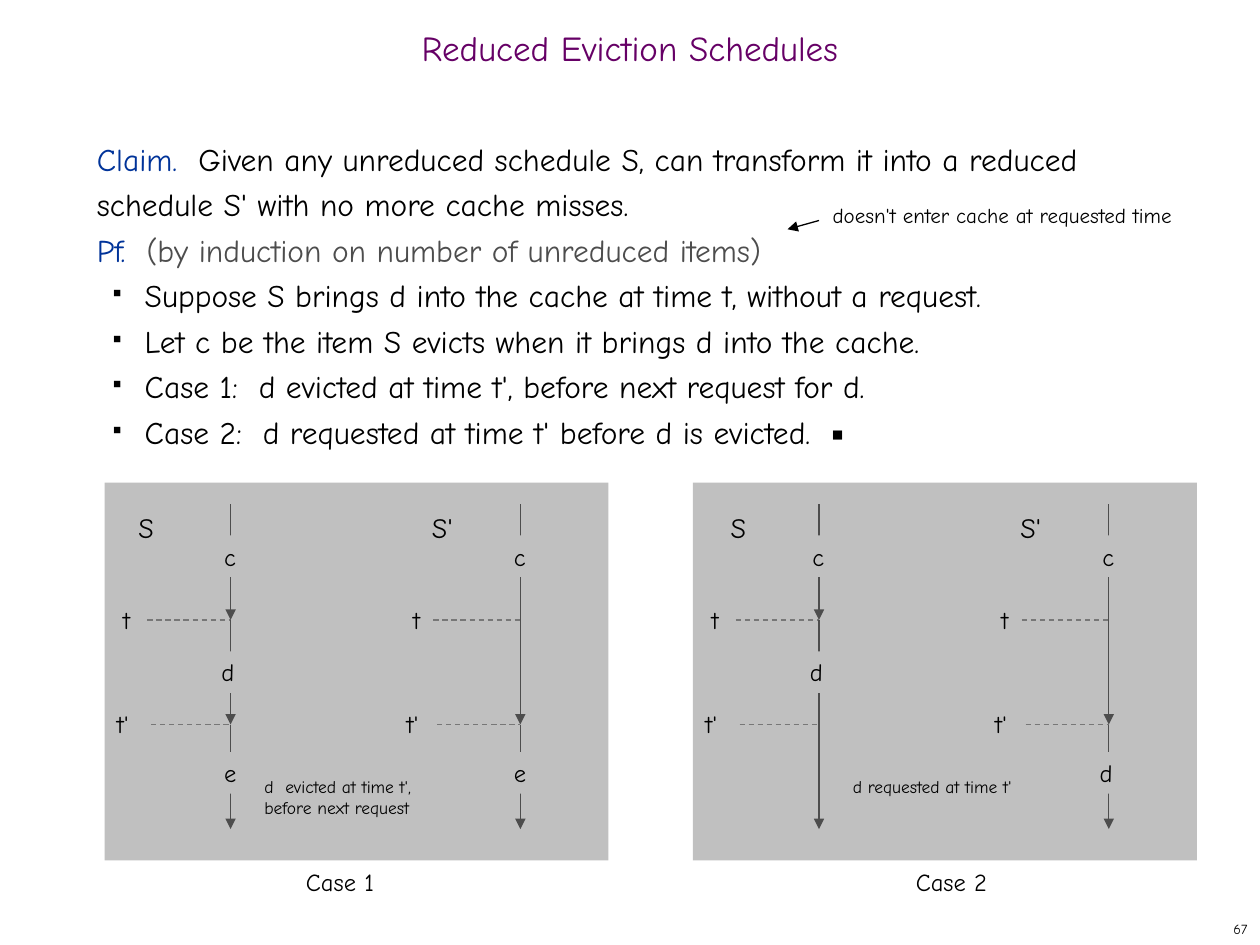
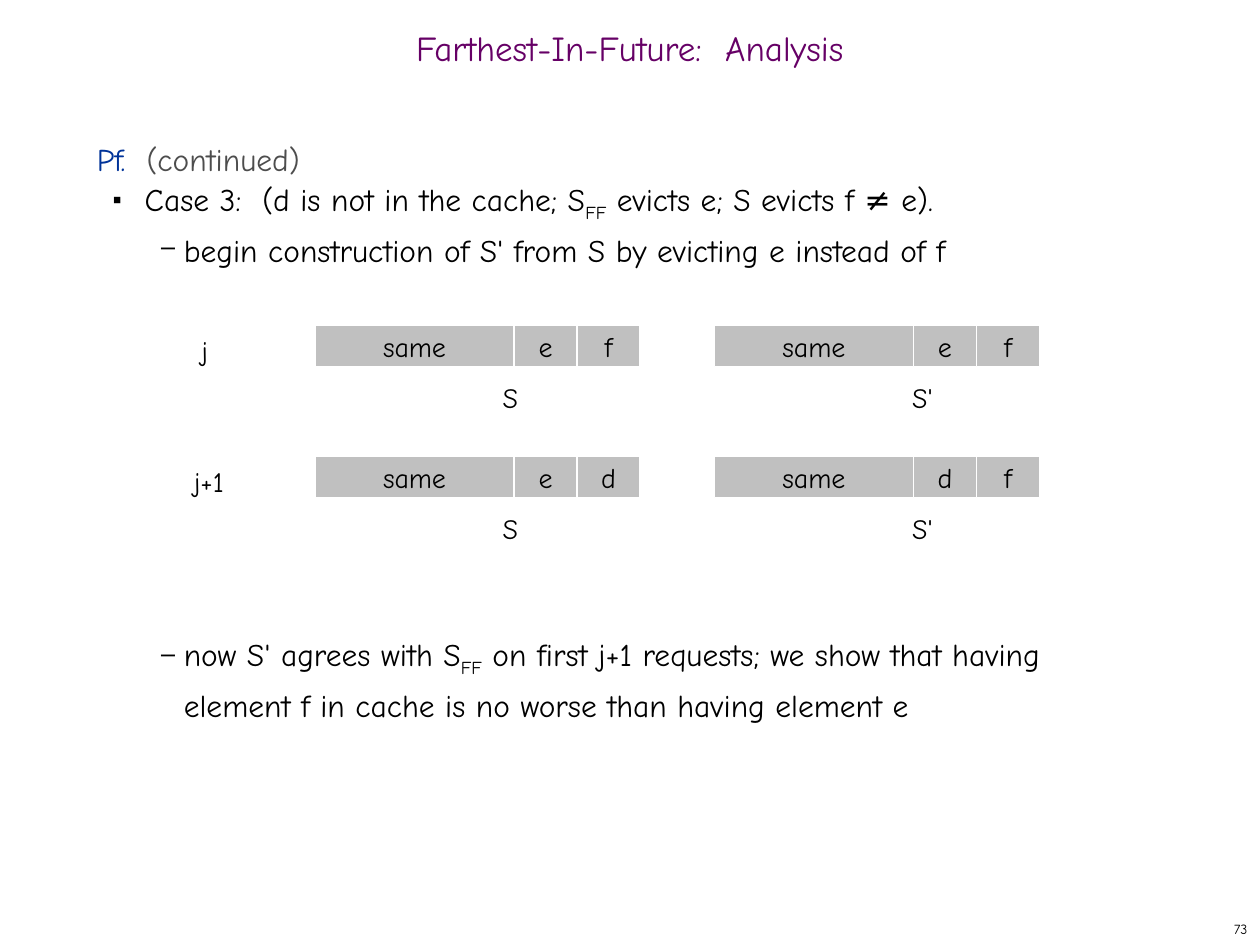
import pptx
import pptx.util
import pptx.dml.color
import pptx.enum.dml
import pptx.enum.shapes
import pptx.enum.text
import pptx.oxml
import pptx.oxml.ns

Inches = pptx.util.Inches
Pt = pptx.util.Pt
RGBColor = pptx.dml.color.RGBColor
ALIGN = pptx.enum.text.PP_ALIGN
ANCHOR = pptx.enum.text.MSO_ANCHOR
DASH = pptx.enum.dml.MSO_LINE.DASH
qn = pptx.oxml.ns.qn

BLACK = RGBColor(0x00, 0x00, 0x00)
WHITE = RGBColor(0xFF, 0xFF, 0xFF)
PLUM = RGBColor(0x66, 0x00, 0x66)
BLUE = RGBColor(0x00, 0x33, 0x99)
DARK = RGBColor(0x4D, 0x4D, 0x4D)
GREY = RGBColor(0x77, 0x77, 0x77)
PANEL = RGBColor(0xC0, 0xC0, 0xC0)
FONT = "Comic Neue"

BULLETS = {1: ("■", 35, 0.38, -0.25), 2: ("–", 80, 0.69, -0.18)}


def box(slide, at, paras, size=14, ink=BLACK, fill=None, edge=None, align=ALIGN.LEFT,
        anchor=ANCHOR.TOP, pad=0.05, wrap=False, space=None):
    spot = [Inches(v) for v in at]
    if fill is None:
        shape = slide.shapes.add_textbox(*spot)
    else:
        shape = slide.shapes.add_shape(pptx.enum.shapes.MSO_SHAPE.RECTANGLE, *spot)
        shape.shadow.inherit = False
        shape.fill.solid()
        shape.fill.fore_color.rgb = fill
        if edge is None:
            shape.line.fill.background()
        else:
            shape.line.color.rgb = edge
            shape.line.width = Pt(0.75)
    frame = shape.text_frame
    look = {"word_wrap": wrap, "vertical_anchor": anchor,
            "margin_left": Inches(0.1), "margin_right": Inches(0.1),
            "margin_top": Inches(pad), "margin_bottom": Inches(pad)}
    for key, val in look.items():
        setattr(frame, key, val)
    if isinstance(paras, str):
        paras = [(0, [(text, ink)]) for text in paras.split("\n")]
    for num, (level, runs) in enumerate(paras):
        para = frame.add_paragraph() if num else frame.paragraphs[0]
        para.alignment = align
        if level:
            mark, scale, left, hang = BULLETS[level]
            props = para._p.get_or_add_pPr()
            props.set("marL", str(Inches(left)))
            props.set("indent", str(Inches(hang)))
            tint = pptx.oxml.parse_xml(
                '<a:buClr xmlns:a="http://schemas.openxmlformats.org/drawingml/2006/main">'
                f'<a:srgbClr val="{BLACK}"/></a:buClr>')
            props.append(tint)
            for tag, name, val in (("a:buSzPct", "val", str(scale * 1000)),
                                   ("a:buChar", "char", mark)):
                item = props.makeelement(qn(tag), {name: val})
                props.append(item)
        if space:
            para.line_spacing = space
        for text, tone, *sub in runs:
            run = para.add_run()
            run.text = text
            for key, val in {"name": FONT, "size": Pt(size)}.items():
                setattr(run.font, key, val)
            run.font.color.rgb = tone
            if sub:
                run.font._element.set("baseline", str(sub[0] * 1000))


def draw(slide, start, end, tone, arrow=True):
    line = slide.shapes.add_connector(pptx.enum.shapes.MSO_CONNECTOR.STRAIGHT,
                                      *[Inches(v) for v in (*start, *end)])
    line.line.color.rgb = tone
    line.line.width = Pt(0.75)
    if arrow:
        stroke = line.line._get_or_add_ln()
        stroke.append(stroke.makeelement(qn("a:tailEnd"), {"type": "triangle"}))
    else:
        line.line.dash_style = DASH.DASH
    props = line._element.spPr
    props.append(props.makeelement(qn("a:effectLst"), {}))


deck = pptx.Presentation()
deck.slide_width = Inches(10)
deck.slide_height = Inches(7.5)

pages = []
for title, num in (("Reduced Eviction Schedules", "67"),
                   ("Farthest-In-Future:  Analysis", "73")):
    page = deck.slides.add_slide(deck.slide_layouts[6])
    box(page, (7.92, 7.25, 2.08, 0.25), num, 8, align=ALIGN.RIGHT, anchor=ANCHOR.MIDDLE)
    box(page, (0, 0.17, 10, 0.5), title, 20, PLUM, align=ALIGN.CENTER,
        anchor=ANCHOR.MIDDLE, wrap=True, space=0.7)
    pages.append(page)
claim, proof = pages

body = {"size": 18, "wrap": True, "space": Pt(26)}
steps = ["Suppose S brings d into the cache at time t, without a request.",
         "Let c be the item S evicts when it brings d into the cache.",
         "Case 1:  d evicted at time t', before next request for d.",
         "Case 2:  d requested at time t' before d is evicted.  ▪"]
box(claim, (0.67, 1, 8.58, 2.8), [
    (0, [("Claim.  ", BLUE),
         ("Given any unreduced schedule S, can transform it into a reduced "
          "schedule S' with no more cache misses.", BLACK)]),
    (0, [("Pf.  ", BLUE), ("(by induction on number of unreduced items)", DARK)]),
    *[(1, [(step, BLACK)]) for step in steps]], **body)
box(claim, (6.51, 1.56, 3.17, 0.34), "doesn't enter cache at requested time", 12, wrap=True)
draw(claim, (6.5, 1.75), (6.25, 1.82), BLACK)

TOP, T1, T2, END = 4, 4.92, 5.75, 6.58
ROWS = (4.25, 5.17, 5.97)
cases = [
    ("Case 1", 0.83, 2.33, "d  evicted at time t',\nbefore next request", 0.17,
     (((TOP, T1, T2, END), "cde"), ((TOP, T2, END), "c e"))),
    ("Case 2", 5.5, 7.17, "d requested at time t'", 0.2,
     (((TOP, T1, END), "cd"), ((TOP, T2, END), "c d"))),
]
for name, left, mid, note, inset, tracks in cases:
    box(claim, (left, 3.83, 4, 3), "", fill=PANEL)
    heads = (("S", inset, 0.36, 0, 0.34), ("S'", 2.5, 0.44, 2.3, 2.61))
    for (stops, items), (head, shift, wide, col, dash) in zip(tracks, heads):
        axis = left + col + 1
        box(claim, (left + shift, 4, wide, 0.41), head, 16)
        for time, high, gap in (("t", T1, 0.05), ("t'", T2, 0)):
            box(claim, (left + col + gap, high - 0.17, 0.33, 0.33), time,
                anchor=ANCHOR.MIDDLE)
            draw(claim, (left + dash + 0.05 - gap * 0.6 - 0.02, high), (axis, high),
                 GREY, arrow=False)
        for start, end in zip(stops, stops[1:]):
            draw(claim, (axis, start), (axis, end), DARK)
        for item, high in zip(items, ROWS):
            if item != " ":
                box(claim, (axis - (0.17 if item == "d" else 0.15), high, 0.33, 0.33), item,
                    fill=PANEL, anchor=ANCHOR.MIDDLE, pad=0)
    box(claim, (left + 1.17, 6.11, 1.58, 0.3), note, 10)
    box(claim, (mid, 6.83, 0.8, 0.37), name)

box(proof, (0.67, 1, 8.58, 1.25), [
    (0, [("Pf.  ", BLUE), ("(continued)", DARK)]),
    (1, [("Case 3:  (d is not in the cache; S", BLACK), ("FF", BLACK, -25),
         (" evicts e; S evicts f ≠ e).", BLACK)]),
    (2, [("begin construction of S' from S by evicting e instead of f", BLACK)])], **body)
box(proof, (0.67, 4.97, 8.58, 0.9), [
    (2, [("now S' agrees with S", BLACK), ("FF", BLACK, -25),
         (" on first j+1 requests; we show that having element f in cache "
          "is no worse than having element e", BLACK)])], **body)

states = [("j", 1.5, 0.3, 2.58, ("ef", "ef")), ("j+1", 1.44, 0.5, 3.62, ("ed", "df"))]
for step, left, wide, high, pairs in states:
    box(proof, (left, high + 0.02, wide, 0.41), step, 16, fill=WHITE)
    for pair, start, name, spot, span in zip(pairs, (2.5, 5.67), ("S", "S'"),
                                            (3.89, 7.14), (0.36, 0.44)):
        cells = [("same", 0, 1.58), (pair[0], 1.58, 0.5), (pair[1], 2.08, 0.5)]
        for text, shift, width in cells:
            box(proof, (start + shift, high, width, 0.33), text, 16, fill=PANEL,
                edge=WHITE, align=ALIGN.CENTER, anchor=ANCHOR.MIDDLE)
        box(proof, (spot, high + 0.39, span, 0.41), name, 16)

deck.save("out.pptx")
